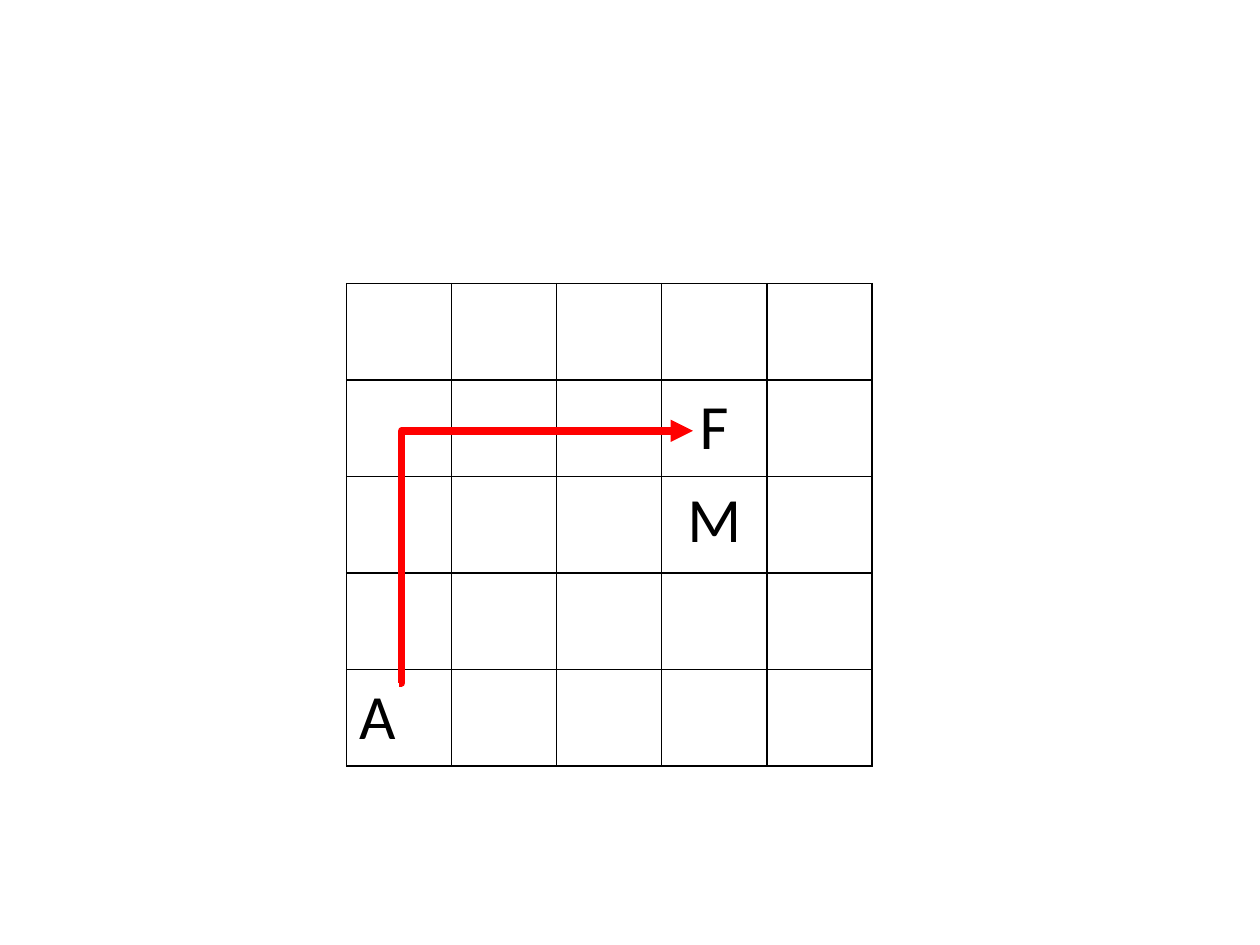
from lxml.etree import SubElement
from pptx import Presentation
from pptx.dml.color import RGBColor
from pptx.enum.shapes import MSO_CONNECTOR
from pptx.enum.text import MSO_ANCHOR, PP_ALIGN
from pptx.oxml import parse_xml
from pptx.oxml.ns import nsdecls, qn
from pptx.util import Inches, Pt

COLORS = {"ink": "000000", "route": "FF0000"}
FONT = "Calibri"
GRID_SIZE = 5
# (row, column): letter, alignment, vertical anchor
LETTERS = {
    (1, 3): ("F", PP_ALIGN.CENTER, MSO_ANCHOR.MIDDLE),
    (2, 3): ("M", PP_ALIGN.CENTER, MSO_ANCHOR.TOP),
    (4, 0): ("A", PP_ALIGN.JUSTIFY, MSO_ANCHOR.MIDDLE),
}


def add_borders(cell):
    tcPr = cell._tc.get_or_add_tcPr()
    for i, side in enumerate(("lnL", "lnR", "lnT", "lnB")):
        tcPr.insert(i, parse_xml(
            f'<a:{side} {nsdecls("a")} w="{Pt(1)}"><a:solidFill>'
            f'<a:srgbClr val="{COLORS["ink"]}"/></a:solidFill></a:{side}>'))


def write_letter(cell, letter, align, anchor):
    cell.vertical_anchor = anchor
    p = cell.text_frame.paragraphs[0]
    p.text = letter
    p.alignment = align
    p.font.name, p.font.size = FONT, Pt(36)
    p.font.color.rgb = RGBColor.from_string(COLORS["ink"])


def add_grid(slide, left, top, width, height):
    table = slide.shapes.add_table(
        GRID_SIZE, GRID_SIZE, left, top, width, height).table
    table.first_row = table.horz_banding = False
    for cell in table.iter_cells():
        cell.fill.background()
        add_borders(cell)
    for position, content in LETTERS.items():
        write_letter(table.cell(*position), *content)


def add_route(slide, left, top, width, height):
    """Draw an arrow that rises from the lower left, then runs right."""
    route = slide.shapes.add_connector(
        MSO_CONNECTOR.ELBOW, left, top + height, left + width, top)
    route.line.color.rgb = RGBColor.from_string(COLORS["route"])
    route.line.width = Pt(4.25)
    spPr = route._element.spPr
    geometry = spPr.find(qn("a:prstGeom"))
    guides = geometry.find(qn("a:avLst"))
    if guides is None:
        guides = SubElement(geometry, qn("a:avLst"))
    SubElement(guides, qn("a:gd"), name="adj1", fmla="val 800")
    SubElement(route.line._get_or_add_ln(), qn("a:tailEnd"), type="triangle")
    SubElement(spPr, qn("a:effectLst"))


def main():
    prs = Presentation()
    prs.slide_width, prs.slide_height = Inches(10), Inches(7.5)
    slide = prs.slides.add_slide(prs.slide_layouts[6])
    add_grid(slide, Inches(2.75), Inches(2.25), Inches(4.17), Inches(3.83))
    add_route(slide, Inches(3.17), Inches(3.42), Inches(2.33), Inches(2))
    prs.save("out.pptx")


if __name__ == "__main__":
    main()
